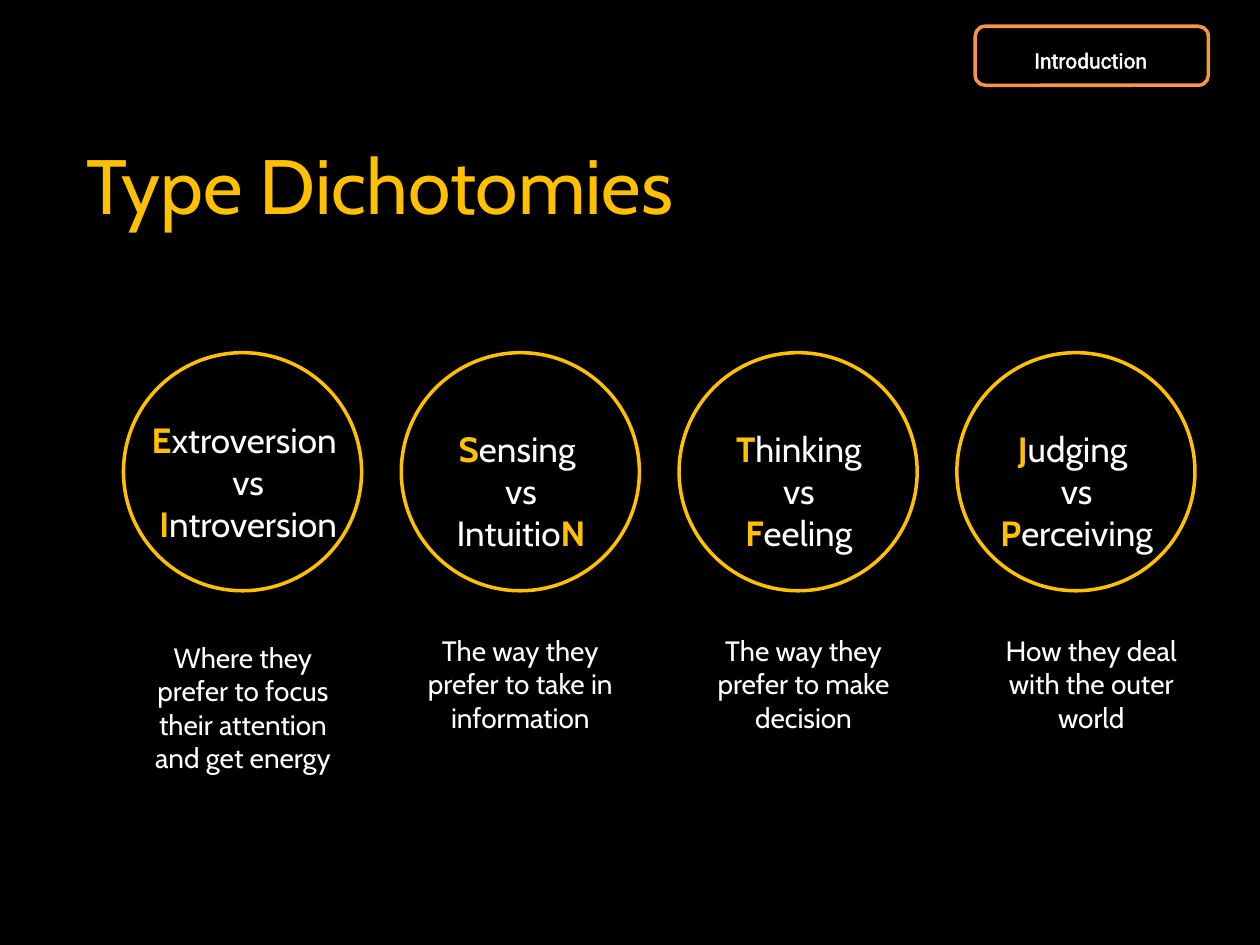
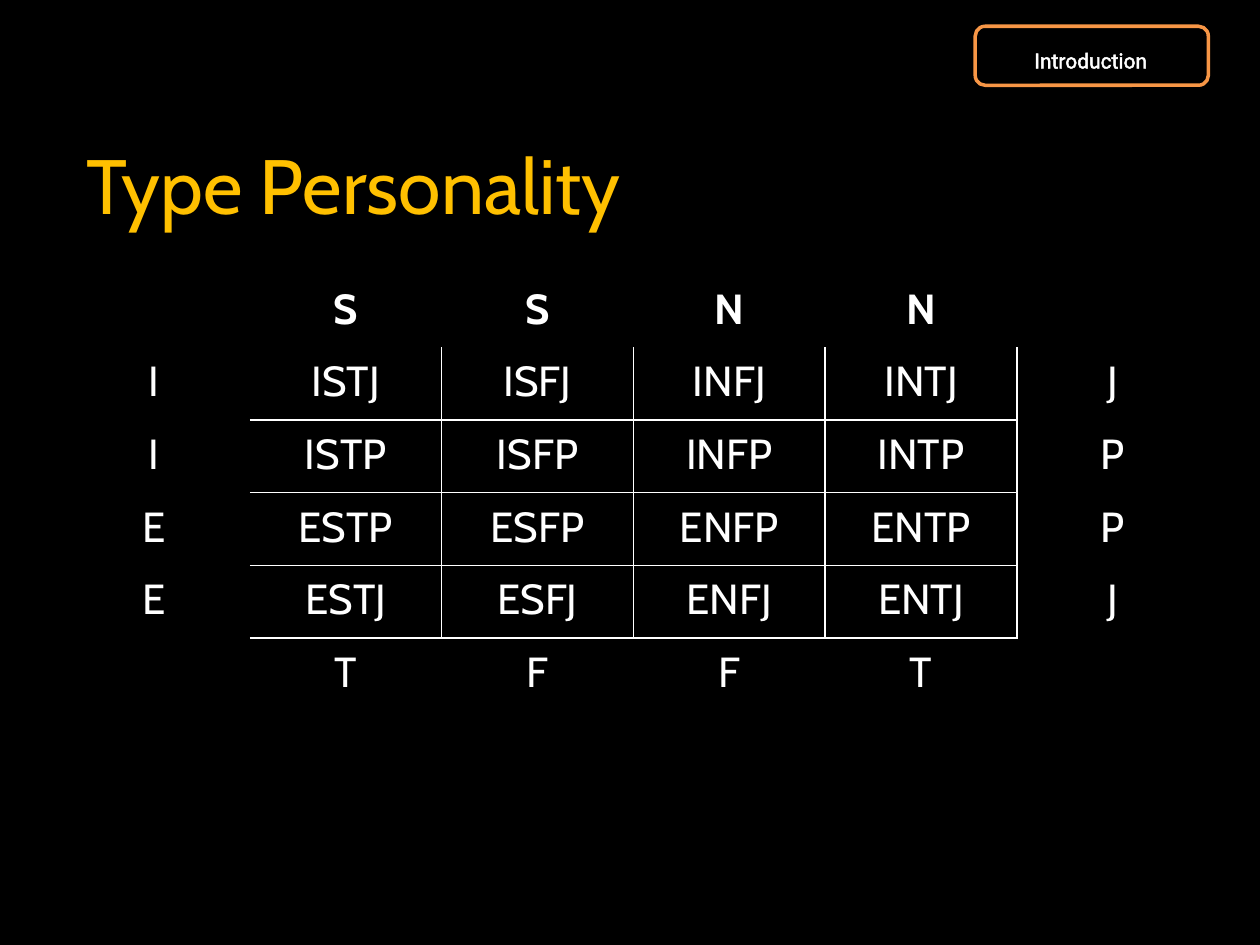
from lxml import etree
from pptx import Presentation
from pptx.dml.color import RGBColor
from pptx.enum.shapes import MSO_SHAPE
from pptx.enum.text import MSO_ANCHOR, PP_ALIGN
from pptx.oxml.ns import qn
from pptx.util import Cm, Pt

ELLIPSE = MSO_SHAPE.OVAL
BADGE = MSO_SHAPE.FLOWCHART_ALTERNATE_PROCESS
TOP, MIDDLE = MSO_ANCHOR.TOP, MSO_ANCHOR.MIDDLE
LEFT, CENTER = PP_ALIGN.LEFT, PP_ALIGN.CENTER

COLORS = {"background": "000000", "accent": "FFC000", "text": "FFFFFF", "badge": "F79646"}
BODY_FONT, BADGE_FONT = "Cabin", "Roboto"
PLAIN_TABLE_STYLE = "{2D5ABB26-0587-4C30-8999-92F81FD0307C}"

# Circles stand at an equal pitch (cm)
CIRCLE_LEFT, CIRCLE_TOP, CIRCLE_SIZE, CIRCLE_PITCH = 2.49, 7.11, 4.8, 5.6

# Asterisks enclose the accented letter; boxes are left, top, width, height in cm
DICHOTOMIES = [
    (["*E*xtroversion ", "vs", "*I*ntroversion"], (1.5, 7.72, 7.01, 3.96),
     "Where they prefer to focus their attention and get energy", (1.7, 11.35, 6.4, 5.18)),
    (["*S*ensing ", "vs", "Intuitio*N*"], (7.8, 7.9, 5.41, 3.96),
     "The way they prefer to take in information", (7.29, 11.35, 6.4, 4.22)),
    (["*T*hinking", "vs", "*F*eeling"], (13.4, 7.9, 5.41, 3.96),
     "The way they prefer to make decision", (13, 11.35, 6.4, 4.22)),
    (["*J*udging ", "vs", "*P*erceiving"], (19, 7.9, 5.41, 3.96),
     "How they deal with the outer world", (18.8, 11.35, 6.4, 4.22)),
]

# Letters around the personality grid
PERCEPTION, DECISION = "SSNN", "TFFT"
ATTITUDE, LIFESTYLE = "IIEE", "JPPJ"


def rgb(name):
    return RGBColor.from_string(COLORS[name])


def style_paragraph(paragraph, size, color="text", font=BODY_FONT, align=CENTER):
    paragraph.alignment = align
    paragraph.font.name = font
    paragraph.font.size = Pt(size)
    paragraph.font.color.rgb = rgb(color)


def add_outline(parent, tag, width, color):
    """Add a solid line element, as used by cell borders and text outlines."""
    line = etree.SubElement(parent, qn(tag), w=str(Pt(width)))
    fill = etree.SubElement(line, qn("a:solidFill"))
    etree.SubElement(fill, qn("a:srgbClr"), val=COLORS[color])
    return line


def add_text(slide, box, text, size, **style):
    textbox = slide.shapes.add_textbox(*map(Cm, box))
    textbox.text_frame.word_wrap = True
    paragraph = textbox.text_frame.paragraphs[0]
    paragraph.text = text
    style_paragraph(paragraph, size, **style)
    return textbox.text_frame


def add_shape(slide, kind, box, fill=None, line=None):
    shape = slide.shapes.add_shape(kind, *map(Cm, box))
    shape.shadow.inherit = False
    if fill:
        shape.fill.solid()
        shape.fill.fore_color.rgb = rgb(fill)
    else:
        shape.fill.background()
    if line:
        shape.line.color.rgb = rgb(line)
        shape.line.width = Pt(2)
    else:
        shape.line.fill.background()
    return shape


def add_ellipse_text(slide, box, lines, size, top_margin=0.13):
    frame = add_shape(slide, ELLIPSE, box).text_frame
    frame.word_wrap = True
    frame.vertical_anchor = TOP
    frame.margin_top = Cm(top_margin)
    for number, line in enumerate(lines):
        paragraph = frame.add_paragraph() if number else frame.paragraphs[0]
        style_paragraph(paragraph, size)
        for part, letters in enumerate(line.split("*")):
            if letters:
                run = paragraph.add_run()
                run.text = letters
                if part % 2:
                    run.font.bold = True
                    run.font.color.rgb = rgb("accent")


def add_section_badge(slide, label):
    add_shape(slide, BADGE, (19.66, 0.53, 4.7, 1.19), "background", "badge")
    frame = add_text(slide, (18.69, 0.58, 6.6, 0.91), label, 12, font=BADGE_FONT)
    paragraph = frame.paragraphs[0]
    paragraph.line_spacing = 1.5
    run_properties = paragraph.runs[0].font._element
    run_properties.insert(0, add_outline(run_properties, "a:ln", 1.45, "text"))


def add_slide(deck, title):
    slide = deck.slides.add_slide(deck.slide_layouts[6])
    slide.background.fill.solid()
    slide.background.fill.fore_color.rgb = rgb("background")
    frame = add_text(slide, (1.5, 1.65, 19, 4.09), title, 44, color="accent", align=LEFT)
    frame.vertical_anchor = MIDDLE
    add_section_badge(slide, "Introduction")
    return slide


def add_dichotomies(slide):
    for index, (pair, pair_box, caption, caption_box) in enumerate(DICHOTOMIES):
        add_ellipse_text(slide, pair_box, pair, 20)
        circle_left = CIRCLE_LEFT + index * CIRCLE_PITCH
        add_shape(slide, ELLIPSE, (circle_left, CIRCLE_TOP, CIRCLE_SIZE, CIRCLE_SIZE),
                  line="accent")
        add_ellipse_text(slide, caption_box, [caption], 16, top_margin=0.8)


def personality_rows():
    """Combine the letters of the edges into the sixteen types."""
    yield ["", *PERCEPTION, ""]
    for attitude, lifestyle in zip(ATTITUDE, LIFESTYLE):
        types = [attitude + perception + decision + lifestyle
                 for perception, decision in zip(PERCEPTION, DECISION)]
        yield [attitude, *types, lifestyle]
    yield ["", *DECISION, ""]


def inner_borders(row, column):
    """Sides of a cell that face another of the sixteen types."""
    if not (1 <= row <= 4 and 1 <= column <= 4):
        return []
    sides = {"a:lnL": column > 1, "a:lnR": column < 4, "a:lnT": row > 1, "a:lnB": row < 4}
    return [side for side, shown in sides.items() if shown]


def add_personality_table(slide):
    rows = list(personality_rows())
    frame = slide.shapes.add_table(len(rows), len(rows[0]), Cm(1.17), Cm(5.54),
                                   Cm(23.2), Cm(8.79))
    table = frame.table
    table.first_row = table.horz_banding = False
    next(frame._element.iter(qn("a:tableStyleId"))).text = PLAIN_TABLE_STYLE
    for row, letters in enumerate(rows):
        for column, text in enumerate(letters):
            cell = table.cell(row, column)
            cell.margin_left = cell.margin_right = Cm(0.33)
            cell.margin_top = cell.margin_bottom = Cm(0.18)
            for side in inner_borders(row, column):
                add_outline(cell._tc.get_or_add_tcPr(), side, 1, "text")
            cell.fill.background()
            paragraph = cell.text_frame.paragraphs[0]
            paragraph.text = text
            style_paragraph(paragraph, 24)
            paragraph.font.bold = row == 0


def main():
    deck = Presentation()
    deck.slide_width, deck.slide_height = Cm(25.4), Cm(19.05)
    add_dichotomies(add_slide(deck, "Type Dichotomies"))
    add_personality_table(add_slide(deck, "Type Personality"))
    deck.save("out.pptx")


if __name__ == "__main__":
    main()
